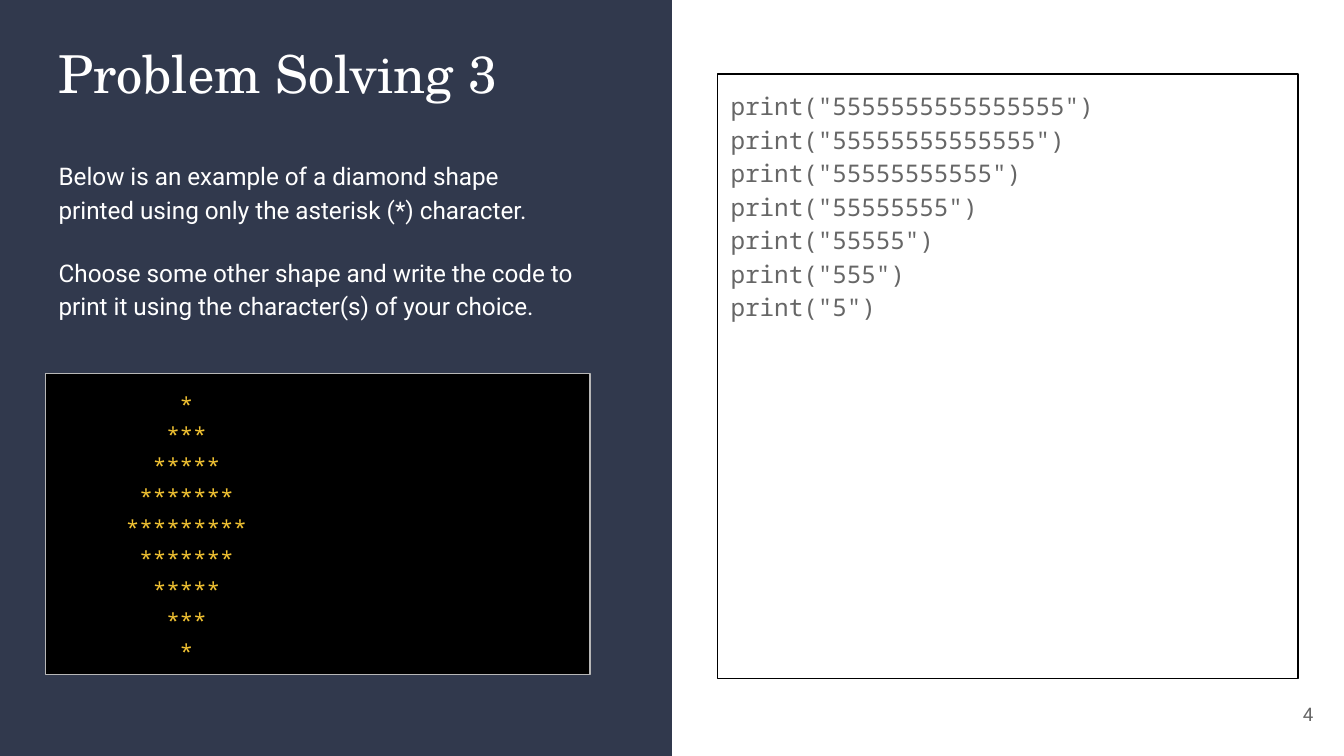
from pptx import Presentation
from pptx import util as u
from pptx.dml.color import RGBColor
from pptx.enum import shapes, text

COLORS = {"navy": "31394D", "white": "FFFFFF", "black": "000000",
          "grey": "666666", "silver": "B7B7B7", "gold": "F1C232"}
SERIF, SANS, MONO = "TeX Gyre Schola", "Roboto", "Noto Sans Mono"
INSET = 0.25


def color(name):
    """Return the named colour."""
    return RGBColor.from_string(COLORS[name])


def write(shape, lines, font=SANS, size=13, ink="white", align=text.PP_ALIGN.LEFT,
          anchor=text.MSO_ANCHOR.TOP, spacing=1.0, gap=0, right_inset=INSET):
    """Fill a shape with one paragraph per line, in one format."""
    frame = shape.text_frame
    frame.word_wrap = True
    frame.vertical_anchor = anchor
    frame.margin_left = frame.margin_top = frame.margin_bottom = u.Cm(INSET)
    frame.margin_right = u.Cm(right_inset)
    for index, line in enumerate(lines):
        paragraph = frame.paragraphs[0] if index == 0 else frame.add_paragraph()
        paragraph.alignment = align
        paragraph.line_spacing = spacing
        paragraph.space_before = u.Pt(gap if index else 0)
        run = paragraph.add_run()
        run.text = line
        run.font.name, run.font.size = font, u.Pt(size)
        run.font.color.rgb = color(ink)


class Deck:
    """Holds the presentation and the current slide."""

    def __init__(self, width, height):
        """Start a deck with one blank slide."""
        self.prs = Presentation()
        self.prs.slide_width, self.prs.slide_height = u.Cm(width), u.Cm(height)
        self.slide = self.prs.slides.add_slide(self.prs.slide_layouts[6])

    def panel(self, box, fill=None, line=None):
        """Add a rectangle with an optional fill and outline."""
        panel = self.slide.shapes.add_shape(
            shapes.MSO_SHAPE.RECTANGLE, *map(u.Cm, box))
        panel.shadow.inherit = False
        if fill:
            panel.fill.solid()
            panel.fill.fore_color.rgb = color(fill)
        else:
            panel.fill.background()
        if line:
            panel.line.color.rgb = color(line)
            panel.line.width = u.Pt(0.75)
        else:
            panel.line.fill.background()
        return panel

    def label(self, box, lines, **style):
        """Add a text box."""
        write(self.slide.shapes.add_textbox(*map(u.Cm, box)), lines, **style)


WIDTH, HEIGHT = 25.4, 14.29
LEFT, COLUMN = 0.86, 10.29
deck = Deck(WIDTH, HEIGHT)
deck.panel((0, 0, WIDTH / 2, HEIGHT), fill="navy")

deck.label((23.55, 12.95, 1.52, 1.09), ["4"], size=10, ink="grey",
           align=text.PP_ALIGN.RIGHT, anchor=text.MSO_ANCHOR.MIDDLE)
deck.label((LEFT, 0.53, COLUMN, 2), ["Problem Solving 3"], font=SERIF, size=28)
deck.label((LEFT, 2.72, COLUMN, 3.61), [
    "Below is an example of a diamond shape printed using only "
    "the asterisk (*) character.",
    "Choose some other shape and write the code to print it using "
    "the character(s) of your choice.",
], spacing=1.15, gap=16)

code = deck.panel((13.56, 1.4, 10.97, 11.43), line="black")
write(code, [f'print("{"5" * count}")' for count in (16, 14, 11, 8, 5, 3, 1)],
      font=MONO, ink="grey", spacing=1.15)

console = deck.panel((LEFT, 7.06, COLUMN, 5.69), fill="black", line="silver")
diamond = ["*" * (9 - 2 * abs(row)) for row in range(-4, 5)]
write(console, diamond, font=MONO, size=12, ink="gold", spacing=1.15,
      align=text.PP_ALIGN.CENTER, right_inset=5.21)

deck.prs.save("out.pptx")
